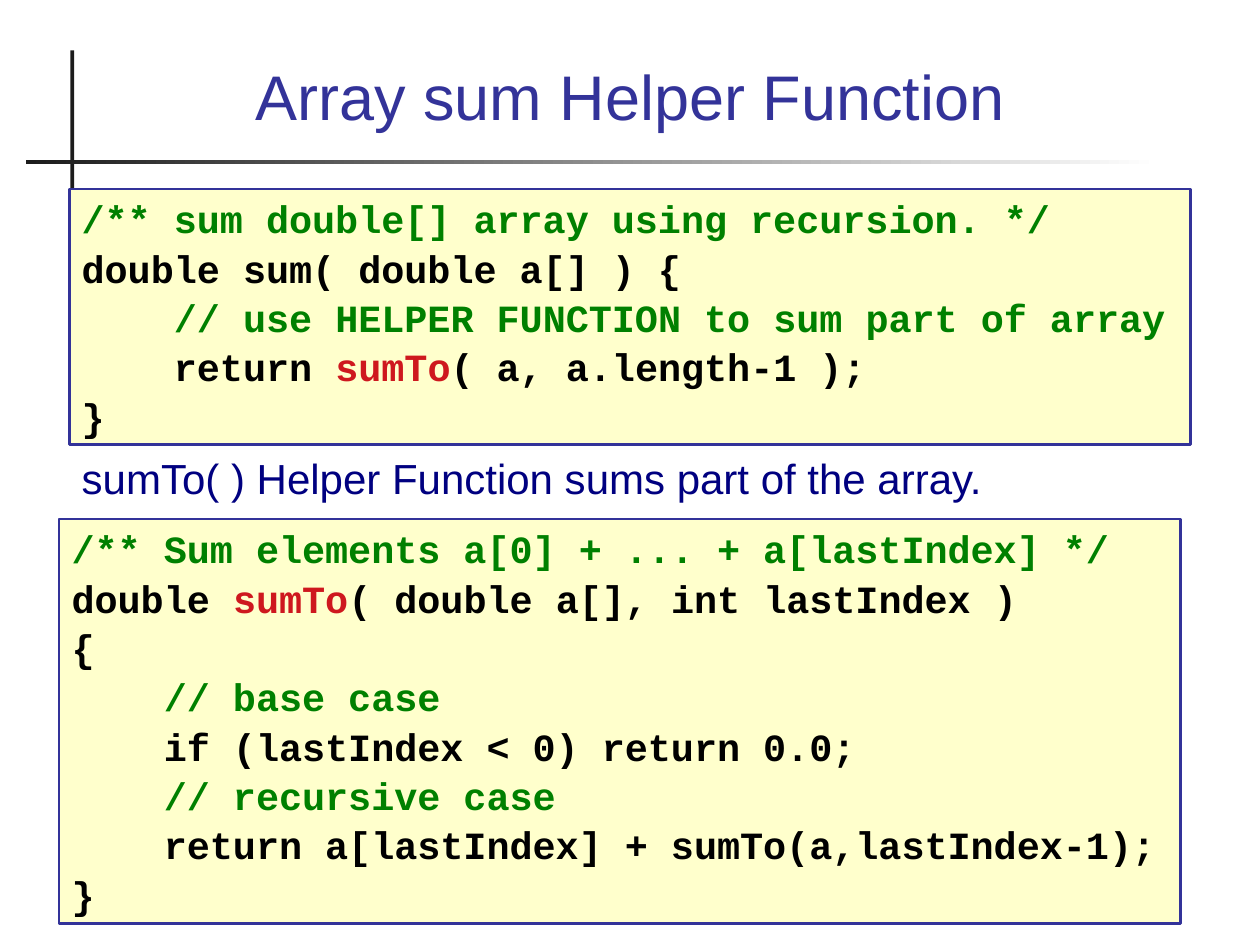
from pptx import Presentation
from pptx.dml.color import RGBColor as RGB
from pptx.enum.shapes import MSO_SHAPE as SHAPE
from pptx.enum.text import MSO_ANCHOR as ANCHOR, PP_ALIGN as ALIGN
from pptx.util import Inches, Pt

THEME = {
    "ink": "1C1C1C", "paper": "FFFFFF", "title": "333399", "body": "000080",
    "panel": "FFFFCC", "code": "000000", "comment": "008000", "call": "CE181E",
    "sans": "Arial", "mono": "Courier New",
    "title_pt": 36, "body_pt": 24, "code_pt": 22, "gap_pt": 1.8, "line_pt": 1.5,
}

prs = Presentation()
prs.slide_width, prs.slide_height = Inches(10), Inches(7.5)
W, H = prs.slide_width / 100, prs.slide_height / 100
s = prs.slides.add_slide(prs.slide_layouts[6])


def color(name):
    return RGB.from_string(THEME[name])


def write(sp, lines, font, size, bold=False):
    tf = sp.text_frame
    tf.word_wrap = True
    tf.vertical_anchor = ANCHOR.TOP
    for i, line in enumerate(lines):
        p = tf.add_paragraph() if i else tf.paragraphs[0]
        p.alignment = ALIGN.LEFT
        if i:
            p.space_before = Pt(THEME["gap_pt"])
        for text, tone in line:
            r = p.add_run()
            r.text = text
            r.font.name = THEME[font]
            r.font.size = Pt(THEME[size])
            r.font.bold = bold
            r.font.color.rgb = color(tone)
    return tf


bars = []
for x, y, w, h in [(5.6, 5.33, 0.3, 15.2), (2.1, 16.93, 89.9, 0.4)]:
    sp = s.shapes.add_shape(SHAPE.RECTANGLE, int(x * W), int(y * H), int(w * W), int(h * H))
    sp.shadow.inherit = False
    sp.line.fill.background()
    bars.append(sp)
upright, rule = bars
upright.fill.solid()
upright.fill.fore_color.rgb = color("ink")
rule.fill.gradient()
rule.fill.gradient_angle = 180
for stop, tone in zip(rule.fill.gradient_stops, ["paper", "ink"]):
    stop.color.rgb = color(tone)

sp = s.shapes.add_textbox(int(6.7 * W), int(3.73 * H), int(86.6 * W), int(12.67 * H))
tf = write(sp, [[("Array sum Helper Function", "title")]], "sans", "title_pt")
tf.vertical_anchor = ANCHOR.MIDDLE
tf.paragraphs[0].alignment = ALIGN.CENTER

sp = s.shapes.add_textbox(int(5.5 * W), int(47.2 * H), int(86.6 * W), int(7.6 * H))
write(sp, [[("sumTo( ) Helper Function sums part of the array.", "body")]], "sans", "body_pt")

sum_to_code = [
    [("/** Sum elements a[0] + ... + a[lastIndex] */", "comment")],
    [("double ", "code"), ("sumTo", "call"), ("( double a[], int lastIndex )", "code")],
    [("{", "code")],
    [("    // base case", "comment")],
    [("    if (lastIndex < 0) return 0.0;", "code")],
    [("    // recursive case", "comment")],
    [("    return a[lastIndex] + sumTo(a,lastIndex-1);", "code")],
    [("}", "code")],
]
sum_code = [
    [("/** sum double[] array using recursion. */", "comment")],
    [("double sum( double a[] ) {", "code")],
    [("    ", "code"), ("// use HELPER FUNCTION to sum part of array", "comment")],
    [("    return ", "code"), ("sumTo", "call"), ("( a, a.length-1 );", "code")],
    [("}", "code")],
]
for x, y, h, code in [(4.7, 54.93, 42.8, sum_to_code), (5.5, 20, 27.07, sum_code)]:
    sp = s.shapes.add_shape(SHAPE.RECTANGLE, int(x * W), int(y * H), int(89 * W), int(h * H))
    sp.shadow.inherit = False
    sp.fill.solid()
    sp.fill.fore_color.rgb = color("panel")
    sp.line.color.rgb = color("title")
    sp.line.width = Pt(THEME["line_pt"])
    write(sp, code, "mono", "code_pt", bold=True)

prs.save("out.pptx")
